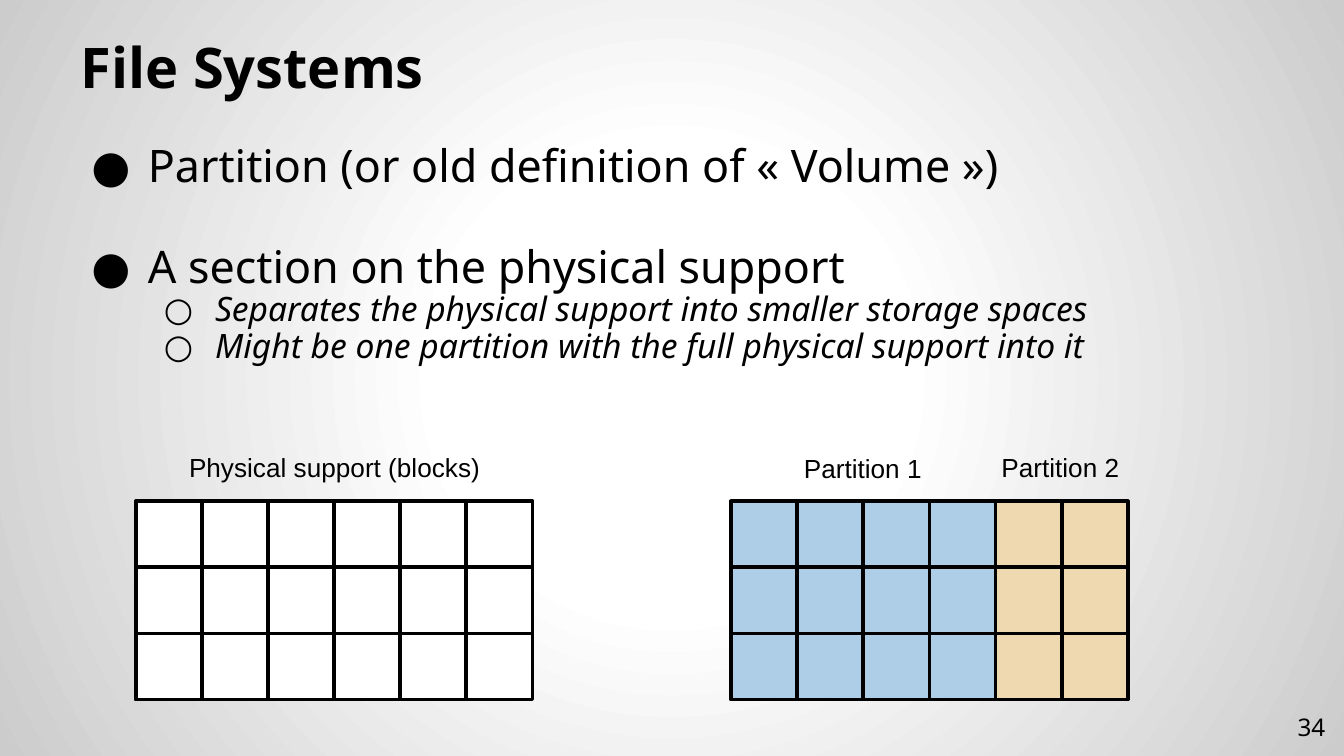
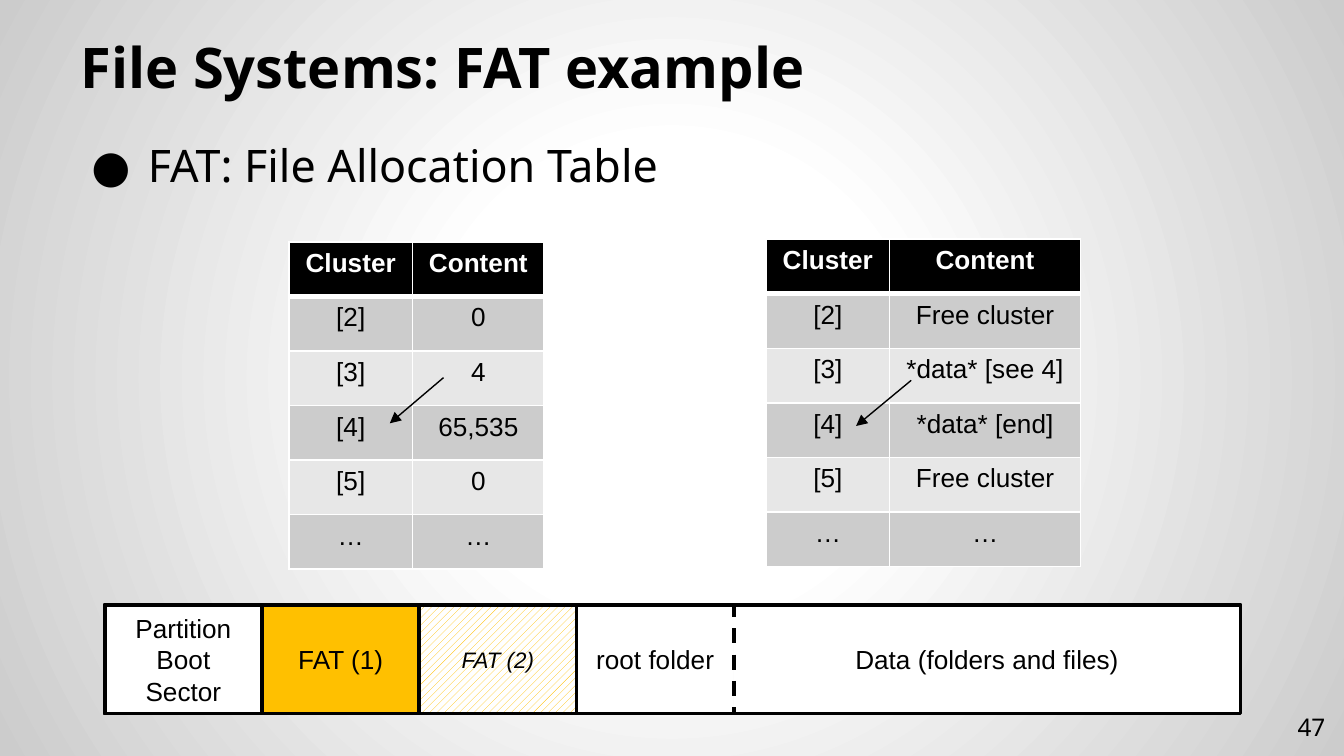
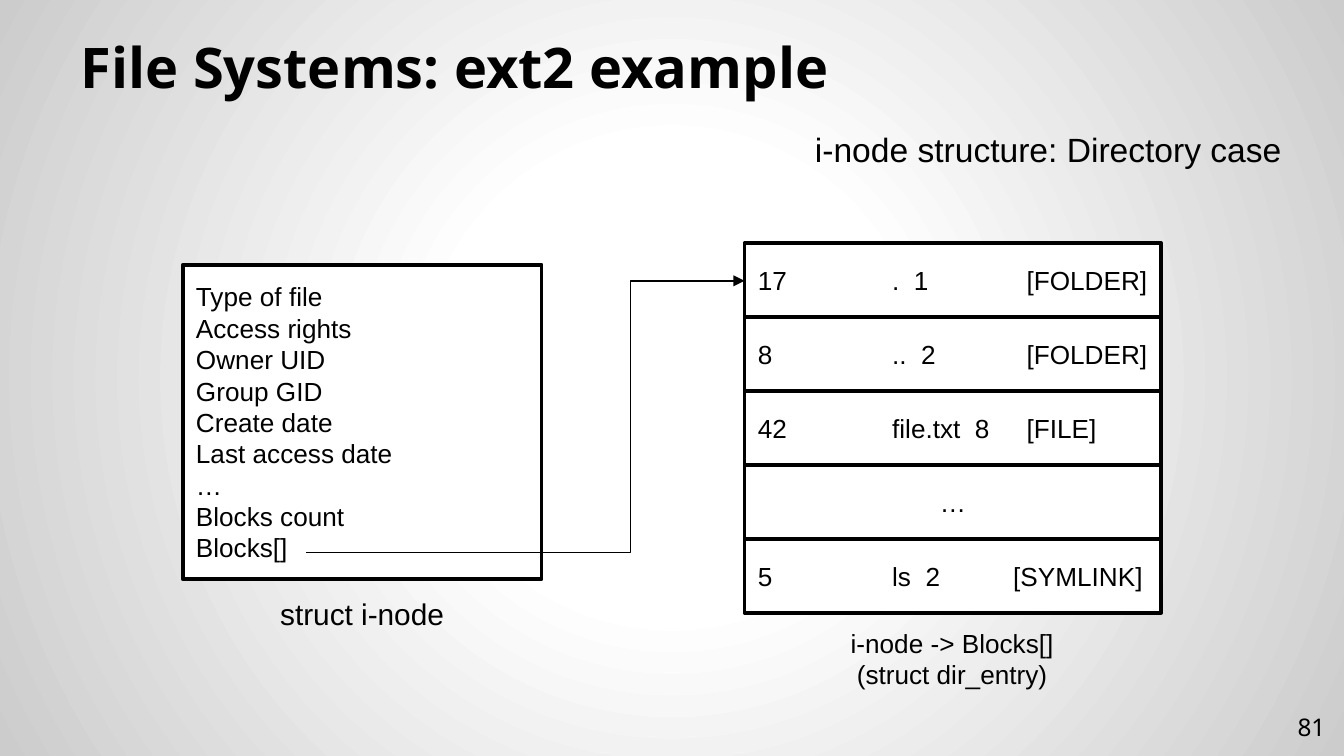
import lxml.etree
import pptx
import pptx.dml.color
import pptx.enum.dml
import pptx.enum.shapes
import pptx.enum.text
import pptx.oxml.ns
import pptx.util

qn = pptx.oxml.ns.qn
Align = pptx.enum.text.PP_ALIGN
Anchor = pptx.enum.text.MSO_ANCHOR

COLORS = {
    "ink": "000000", "paper": "FFFFFF", "edge": "CCCCCC",
    "partition 1": "AECDE6", "partition 2": "EFD9B0", "fat": "FFC000",
    "dark band": "CCCCCC", "light band": "E7E7E7",
}
HEADING_FONT, LABEL_FONT = "Noto Sans", "Arial"
COLUMNS, ROWS = 100, 56.25  # square grid cells
TITLE_ONLY, TITLE_AND_BODY = 5, 1


def color(name):
    return pptx.dml.color.RGBColor.from_string(COLORS[name])


def add_element(parent, tag, **attributes):
    values = {key: str(value) for key, value in attributes.items()}
    return lxml.etree.SubElement(parent, qn(tab_safe(tag)), values)


def tab_safe(tag):
    return tag.strip()


class Deck:
    """The shared style and the slide being built."""

    def __init__(self):
        self.presentation = pptx.Presentation()
        self.presentation.slide_width = pptx.util.Inches(10)
        self.unit = self.presentation.slide_width / COLUMNS
        self.presentation.slide_height, = self.lengths(ROWS)
        self.slide = None
        self.set_background()

    def lengths(self, *cells):
        return [pptx.util.Emu(round(cell * self.unit)) for cell in cells]

    def set_background(self):
        master = self.presentation.slide_master
        master.background.fill.solid()
        properties = master.element.find(".//" + qn("p:bgPr"))
        properties.remove(properties.find(qn("a:solidFill")))
        gradient = add_element(properties, "a:gradFill", rotWithShape=1)
        properties.insert(0, gradient)
        stops = add_element(gradient, "a:gsLst")
        for position, name in ((0, "paper"), (30, "paper"), (100, "edge")):
            stop = add_element(stops, "a:gs", pos=position * 1000)
            add_element(stop, "a:srgbClr", val=COLORS[name])
        circle = add_element(gradient, "a:path", path="circle")
        add_element(circle, "a:fillToRect", l=50000, t=50000, r=50000, b=50000)

    def format_runs(self, paragraph, size, font=LABEL_FONT, ink="ink",
                    bold=False, italic=False):
        for run in paragraph.runs:
            run.font.name = font
            run.font.size = pptx.util.Pt(size)
            run.font.bold = bold
            run.font.italic = italic
            run.font.color.rgb = color(ink)

    def set_text(self, frame, text, size=14, align=Align.CENTER,
                 anchor=Anchor.TOP, **style):
        frame.text = text
        frame.word_wrap = True
        frame.vertical_anchor = anchor
        for paragraph in frame.paragraphs:
            paragraph.alignment = align
            self.format_runs(paragraph, size, **style)

    def place(self, shape, at):
        shape.left, shape.top, shape.width, shape.height = self.lengths(*at)

    def set_insets(self, frame):
        inset, = self.lengths(1)
        frame.margin_left = frame.margin_right = inset
        frame.margin_top = frame.margin_bottom = inset
        frame.auto_size = pptx.enum.text.MSO_AUTO_SIZE.NONE

    def new_slide(self, title, number, layout=TITLE_ONLY):
        layouts = self.presentation.slide_layouts
        self.slide = self.presentation.slides.add_slide(layouts[layout])
        heading = self.slide.shapes.title
        self.place(heading, (5, 2.3, 90, 6.2))
        self.set_text(heading.text_frame, title, 30, Align.LEFT, Anchor.BOTTOM,
                      font=HEADING_FONT, bold=True)
        heading.text_frame.paragraphs[0].line_spacing = 0.9
        self.set_insets(heading.text_frame)
        footer = self.label((93.6, 51.9, 6, 4.3), str(number), 13, Align.RIGHT,
                            anchor=Anchor.MIDDLE, font=HEADING_FONT)
        self.set_insets(footer.text_frame)

    def bullets(self, items):
        """Items are (level, text) pairs."""
        body = self.slide.placeholders[1]
        self.place(body, (5, 9.7, 90, 44.1))
        frame = body.text_frame
        frame.text = "\n".join(text for level, text in items)
        frame.vertical_anchor = Anchor.TOP
        self.set_insets(frame)
        for index, (paragraph, (level, text)) in enumerate(zip(frame.paragraphs, items)):
            margin, hanging = self.lengths(5 + 5 * level, (4.2, 3.8)[level])
            properties = paragraph._p.get_or_add_pPr()
            properties.set("marL", str(margin))
            properties.set("indent", str(-hanging))
            bullet_color = add_element(properties, "a:buClr")
            add_element(bullet_color, "a:srgbClr", val=COLORS["ink"])
            add_element(properties, "a:buFont", typeface=HEADING_FONT)
            add_element(properties, "a:buChar", char="●○"[level])
            paragraph.level = level
            paragraph.line_spacing = 0.9
            gap = 28 if index and level == 0 else 0
            paragraph.space_before = pptx.util.Pt(gap)
            self.format_runs(paragraph, (24, 18)[level], HEADING_FONT,
                             italic=level == 1)

    def label(self, at, text, size=14, align=Align.CENTER, **style):
        box = self.slide.shapes.add_textbox(*self.lengths(*at))
        self.set_text(box.text_frame, text, size, align, **style)
        return box

    def box(self, at, text="", fill="paper", outlined=True, size=14,
            align=Align.CENTER, **style):
        kind = pptx.enum.shapes.MSO_SHAPE.RECTANGLE
        shape = self.slide.shapes.add_shape(kind, *self.lengths(*at))
        shape.shadow.inherit = False
        if fill:
            shape.fill.solid()
            shape.fill.fore_color.rgb = color(fill)
        else:
            shape.fill.background()
        if outlined:
            shape.line.color.rgb = color("ink")
            shape.line.width = pptx.util.Pt(2)
        else:
            shape.line.fill.background()
        if text:
            self.set_text(shape.text_frame, text, size, align, Anchor.MIDDLE, **style)
        return shape

    def arrow(self, start, end, bend=None):
        kinds = pptx.enum.shapes.MSO_CONNECTOR
        kind = kinds.STRAIGHT if bend is None else kinds.ELBOW
        connector = self.slide.shapes.add_connector(kind, *self.lengths(*start, *end))
        connector.line.color.rgb = color("ink")
        connector.line.width = pptx.util.Pt(0.75)
        properties = connector._element.spPr
        add_element(properties.find(qn("a:ln")), "a:tailEnd", type="triangle")
        add_element(properties, "a:effectLst")
        if bend is not None:
            guides = properties.find(".//" + qn("a:avLst"))
            add_element(guides, "a:gd", name="adj1", fmla=f"val {round(bend * 100000)}")

    def cell_borders(self, cell, row):
        properties = cell._tc.get_or_add_tcPr()
        heavy_side = {0: "B", 1: "T"}.get(row)
        for side in "LRTB":
            points = 3 if side == heavy_side else 1
            line = add_element(properties, "a:ln" + side, w=int(pptx.util.Pt(points)))
            paint = add_element(line, "a:solidFill")
            add_element(paint, "a:srgbClr", val=COLORS["paper"])

    def table(self, corner, widths, row_height, rows):
        size = (sum(widths), row_height * len(rows))
        frame = self.slide.shapes.add_table(len(rows), len(widths),
                                            *self.lengths(*corner, *size))
        for column, width in zip(frame.table.columns, self.lengths(*widths)):
            column.width = width
        for row, values in enumerate(rows):
            header = row == 0
            band = "ink" if header else ("light band", "dark band")[row % 2]
            for column, value in enumerate(values):
                cell = frame.table.cell(row, column)
                self.cell_borders(cell, row)
                cell.fill.solid()
                cell.fill.fore_color.rgb = color(band)
                cell.text_frame.text = value
                paragraph = cell.text_frame.paragraphs[0]
                paragraph.alignment = Align.CENTER
                self.format_runs(paragraph, 14, bold=header,
                                 ink="paper" if header else "ink")


def partition_slide(deck):
    deck.new_slide("File Systems", 34, TITLE_AND_BODY)
    deck.bullets([
        (0, "Partition (or old definition of « Volume »)"),
        (0, "A section on the physical support"),
        (1, "Separates the physical support into smaller storage spaces"),
        (1, "Might be one partition with the full physical support into it"),
    ])
    # Storage blocks: the bare support, then the same support partitioned
    block = 4.92
    supports = (
        (10.1, ["paper"] * 6),
        (54.4, ["partition 1"] * 4 + ["partition 2"] * 2),
    )
    for left, fills in supports:
        for row in range(3):
            for column, fill in enumerate(fills):
                deck.box((left + column * block, 37.3 + row * block, block, block),
                         fill=fill)
    deck.label((10.2, 33.1, 29.4, 3.4), "Physical support (blocks)")
    deck.label((55.6, 33.2, 17.2, 3.4), "Partition 1")
    deck.label((70.3, 33.1, 17.2, 3.4), "Partition 2")


def fat_slide(deck):
    deck.new_slide("File Systems: FAT example", 47, TITLE_AND_BODY)
    deck.bullets([(0, "FAT: File Allocation Table")])

    # Disk layout
    top, height, width = 45, 8.1, 11.7
    boot, fat_1, fat_2, root, data = (7.8 + width * index for index in range(5))
    deck.box((boot, top, width, height), "Partition Boot Sector")
    deck.box((fat_1, top, width, height), "FAT (1)", "fat")
    deck.box((data, top, 37.7, height), "Data (folders and files)", outlined=False)
    root_folder = deck.box((root, top, width, height), "root folder")
    root_folder.line.dash_style = pptx.enum.dml.MSO_LINE.DASH
    deck.box((boot, top, 84.5, height), fill=None)
    second_fat = deck.box((fat_2, top, width, height), "FAT (2)",
                          size=12, italic=True)
    second_fat.fill.patterned()
    second_fat.fill.pattern = pptx.enum.dml.MSO_PATTERN.WIDE_UPWARD_DIAGONAL
    second_fat.fill.fore_color.rgb = color("fat")
    second_fat.fill.back_color.rgb = color("paper")

    # Cluster tables, as stored and as understood
    clusters = ["Cluster", "[2]", "[3]", "[4]", "[5]", "…"]
    stored = ["Content", "0", "4", "65,535", "0", "…"]
    meaning = ["Content", "Free cluster", "*data* [see 4]", "*data* [end]",
               "Free cluster", "…"]
    deck.table((21.5, 18), (9.2, 9.8), 4.06, list(zip(clusters, stored)))
    deck.table((57, 17.8), (9.2, 14.2), 4.06, list(zip(clusters, meaning)))
    deck.arrow((33, 28.1), (29, 31.5))
    deck.arrow((67.8, 28.3), (63.7, 31.7))


def inode_slide(deck):
    deck.new_slide("File Systems: ext2 example", 81)
    deck.label((59.4, 9.1, 37.2, 4), "i-node structure: Directory case", 18)

    # The i-node
    fields = ["Type of file", "Access rights", "Owner UID", "Group GID",
              "Create date", "Last access date", "…", "Blocks count", "Blocks[]"]
    deck.box((13.6, 19.7, 26.7, 23.4), "\n".join(fields), align=Align.LEFT)
    deck.label((13.6, 43.8, 26.7, 3.7), "struct i-node", 16)

    # Directory entries, with the tab stop of each last field
    deck.label((60.3, 46.2, 21.1, 5.7), "i-node -> Blocks[]\n(struct dir_entry)")
    entries = [("17\t.  1\t[FOLDER]", 20), ("8\t..  2\t[FOLDER]", 20),
               ("42\tfile.txt  8\t[FILE]", 20), ("…", None),
               ("5\tls  2\t[SYMLINK]", 19)]
    for index, (text, last_stop) in enumerate(entries):
        entry = deck.box((55.4, 18.1 + 5.5 * index, 31, 5.5), text)
        if last_stop:
            entry.text_frame.margin_right, = deck.lengths(0.5)
            paragraph = entry.text_frame.paragraphs[0]
            paragraph.alignment = Align.JUSTIFY
            stops = add_element(paragraph._p.get_or_add_pPr(), "a:tabLst")
            for position in deck.lengths(10, last_stop):
                add_element(stops, "a:tab", pos=position, algn="l")
    deck.arrow((22.8, 41.1), (55.4, 20.9), bend=0.74)


def main():
    deck = Deck()
    partition_slide(deck)
    fat_slide(deck)
    inode_slide(deck)
    deck.presentation.save("out.pptx")


if __name__ == "__main__":
    main()
